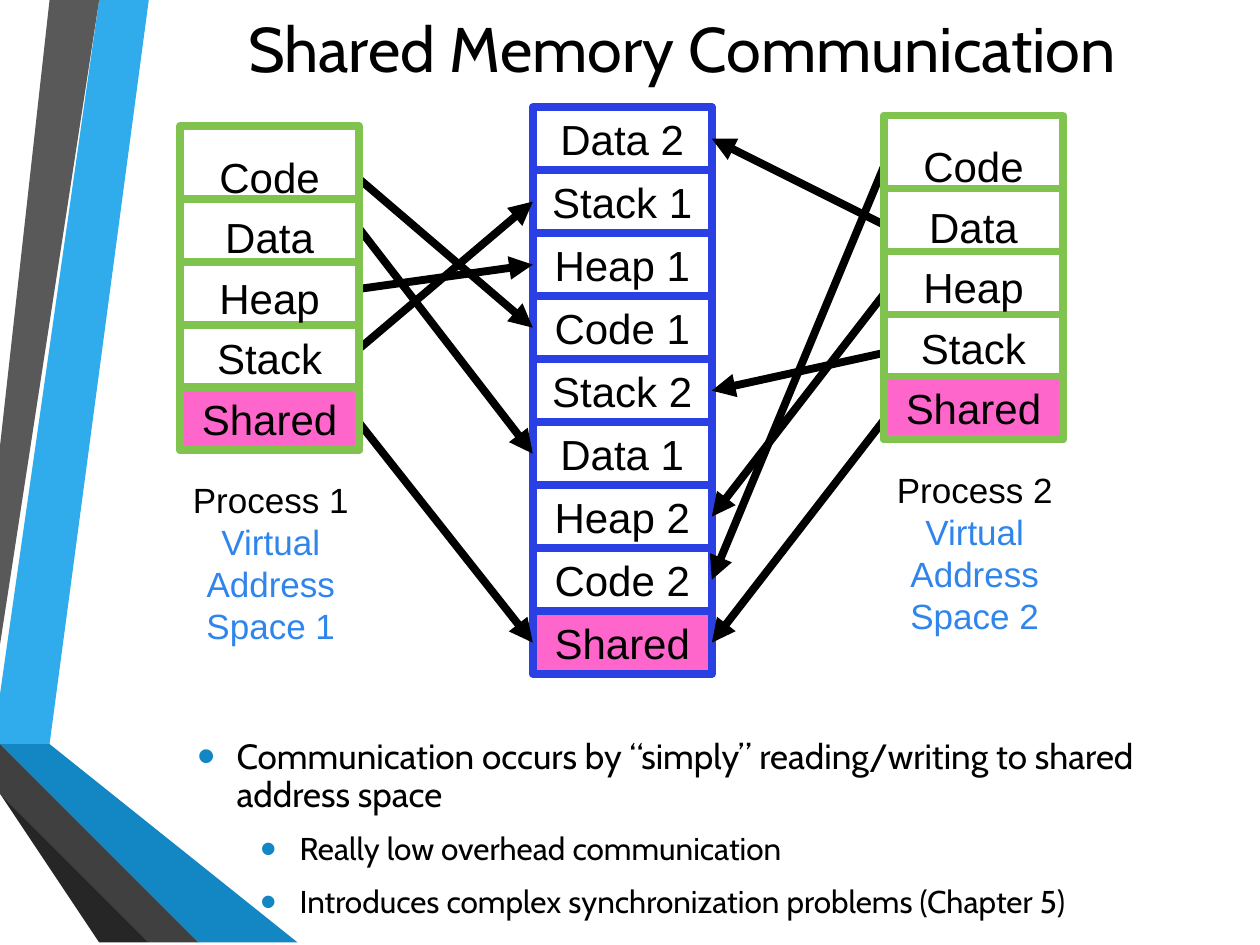
from lxml.etree import SubElement
from pptx import Presentation
from pptx.dml.color import RGBColor
from pptx.enum.shapes import MSO_CONNECTOR, MSO_SHAPE
from pptx.enum.text import MSO_ANCHOR as Anchor, PP_ALIGN as Align
from pptx.oxml.ns import qn
from pptx.util import Cm, Pt

COLORS = {
    "black": "000000", "white": "FFFFFF", "pink": "FF66CC",
    "memory": "2A40E2", "process": "80C34F", "label": "3085ED",
    "sky": "30ACEC", "blue": "1287C3", "navy": "0C5A82",
    "gray": "595959", "charcoal": "404040", "coal": "262626",
}

# Decorative bands along the left edge, from back to front, in cm
BANDS = [
    ("sky", [(0, 13.82), (0, 14.6), (0.56, 14.71), (2.97, 0), (2.26, 0)]),
    ("gray", [(2.11, 0), (1.4, 0), (0, 8.53), (0, 12.85)]),
    ("coal", [(0, 15.72), (0, 15.77), (2.36, 19.05), (2.51, 19.05)]),
    ("navy", [(0, 14.71), (0, 14.73), (3.96, 19.05), (4.14, 19.05)]),
    ("blue", [(0, 14.71), (4.14, 19.05), (5.92, 19.05), (0.56, 14.71), (0, 14.6)]),
    ("charcoal", [(0, 15.72), (2.51, 19.05), (3.84, 19.05), (0, 14.88)]),
]

SEGMENTS = ["Code", "Data", "Heap", "Stack", "Shared"]
MEMORY = ["Data 2", "Stack 1", "Heap 1", "Code 1", "Stack 2",
          "Data 1", "Heap 2", "Code 2", "Shared"]
MEMORY_LEFT, MEMORY_TOP = 10.74, 2.16
COLUMN_WIDTH, ROW_HEIGHT = 3.61, 1.27

# Start point of each arrow and the memory row it leads to
ARROWS = [
    (6.53, 3.0, "Code 1"), (6.78, 4.01, "Data 1"),
    (6.55, 5.92, "Heap 1"), (6.78, 7.42, "Stack 1"),
    (17.98, 2.97, "Code 2"), (18.16, 4.7, "Data 2"),
    (17.98, 5.72, "Heap 2"), (18.16, 7.04, "Stack 2"),
    (7.19, 8.46, "Shared"), (17.98, 8.26, "Shared"),
]

BULLETS = [
    (0, "Communication occurs by “simply” reading/writing to shared address space"),
    (1, "Really low overhead communication"),
    (1, "Introduces complex synchronization problems (Chapter 5)"),
]


class SlideBuilder:
    def __init__(self, slide):
        self.slide = slide
        self.shapes = slide.shapes
        self.diagram_font = "Arial"
        self.text_font = "Cabin"
        self.line_width = Pt(4.5)

    def color(self, name):
        return RGBColor.from_string(COLORS[name])

    def style(self, paragraph, font_name, size, color="black"):
        for run in paragraph.runs:
            run.font.name = font_name
            run.font.size = Pt(size)
            run.font.color.rgb = self.color(color)

    def band(self, fill, points):
        builder = self.shapes.build_freeform(*points[0], scale=Cm(1))
        builder.add_line_segments(points[1:], close=True)
        shape = builder.convert_to_shape()
        shape.shadow.inherit = False
        shape.fill.solid()
        shape.fill.fore_color.rgb = self.color(fill)
        shape.line.fill.background()

    def box(self, left, top, height, fill, outline, text=""):
        shape = self.shapes.add_shape(
            MSO_SHAPE.RECTANGLE, Cm(left), Cm(top), Cm(COLUMN_WIDTH), Cm(height))
        shape.shadow.inherit = False
        shape.fill.solid()
        shape.fill.fore_color.rgb = self.color(fill)
        shape.line.color.rgb = self.color(outline)
        shape.line.width = self.line_width
        if text:
            frame = shape.text_frame
            frame.text = text
            frame.word_wrap = False
            frame.vertical_anchor = Anchor.MIDDLE
            frame.paragraphs[0].alignment = Align.CENTER
            self.style(frame.paragraphs[0], self.diagram_font, 24)

    def line(self, start, end, color, arrow=False):
        connector = self.shapes.add_connector(
            MSO_CONNECTOR.STRAIGHT, *[Cm(value) for value in (*start, *end)])
        connector.line.color.rgb = self.color(color)
        connector.line.width = self.line_width
        properties = connector._element.spPr
        if arrow:
            SubElement(properties.find(qn("a:ln")), qn("a:tailEnd"), type="triangle")
        SubElement(properties, qn("a:effectLst"))

    def text(self, left, top, width, height, lines, wrap=False, anchor=Anchor.TOP):
        """Add a centred text box and return its paragraphs for styling."""
        box = self.shapes.add_textbox(Cm(left), Cm(top), Cm(width), Cm(height))
        frame = box.text_frame
        frame.text = "\n".join(lines)
        frame.word_wrap = wrap
        frame.vertical_anchor = anchor
        for paragraph in frame.paragraphs:
            paragraph.alignment = Align.CENTER
        return frame.paragraphs

    def title(self, text):
        paragraph, = self.text(2.74, 0, 22.02, 1.91, [text], True, Anchor.MIDDLE)
        self.style(paragraph, self.text_font, 36)

    def bullets(self, items):
        paragraphs = self.text(3.73, 14.76, 20.83, 3.94,
                               [text for _, text in items], True, Anchor.MIDDLE)
        for index, (paragraph, (level, _)) in enumerate(zip(paragraphs, items)):
            paragraph.alignment = Align.LEFT
            paragraph.level = level
            paragraph.line_spacing = 0.9
            paragraph.space_before = Pt(4.5 if index else 0)
            paragraph.space_after = Pt(6)
            properties = paragraph._p.get_or_add_pPr()
            properties.set("marL", str(Cm(0.79 + 1.27 * level)))
            properties.set("indent", str(Cm(-0.79)))
            bullet_color = SubElement(properties, qn("a:buClr"))
            SubElement(bullet_color, qn("a:srgbClr"), val=COLORS["blue"])
            SubElement(properties, qn("a:buSzPct"), val="145000")
            SubElement(properties, qn("a:buFont"), typeface="Arial")
            SubElement(properties, qn("a:buChar"), char="•")
            self.style(paragraph, self.text_font, 20 - 2 * level)

    def process(self, number, left, top):
        """Draw one virtual address space with its segments and caption."""
        shared_top = top + 5.26
        self.box(left, top, 6.53, "white", "process")
        for row in range(4):
            y = top + 1.47 + row * ROW_HEIGHT
            self.line((left, y), (left + COLUMN_WIDTH, y), "process")
        self.box(left, shared_top, ROW_HEIGHT, "pink", "process")
        for paragraph in self.text(left + 0.19, top + 0.18, 3.23, 6.35, SEGMENTS):
            paragraph.line_spacing = 1.2
            self.style(paragraph, self.diagram_font, 24)

        caption = [f"Process {number}", "Virtual", "Address", f"Space {number}"]
        paragraphs = self.text(left, top + 6.99, 3.66, 3.63, caption)
        for index, paragraph in enumerate(paragraphs):
            self.style(paragraph, self.diagram_font, 20, "label" if index else "black")


def main():
    presentation = Presentation()
    presentation.slide_width, presentation.slide_height = Cm(25.4), Cm(19.05)
    builder = SlideBuilder(presentation.slides.add_slide(presentation.slide_layouts[6]))

    for fill, points in BANDS:
        builder.band(fill, points)
    builder.title("Shared Memory Communication")
    builder.bullets(BULLETS)

    for row, name in enumerate(MEMORY):
        fill = "pink" if name == "Shared" else "white"
        builder.box(MEMORY_LEFT, MEMORY_TOP + row * ROW_HEIGHT, ROW_HEIGHT,
                    fill, "memory", name)
    for x, y, name in ARROWS:
        end_x = MEMORY_LEFT if x < MEMORY_LEFT else MEMORY_LEFT + COLUMN_WIDTH
        end_y = MEMORY_TOP + (MEMORY.index(name) + 0.5) * ROW_HEIGHT
        builder.line((x, y), (end_x, end_y), "black", arrow=True)

    builder.process(1, 3.63, 2.54)
    builder.process(2, 17.82, 2.33)
    presentation.save("out.pptx")


if __name__ == "__main__":
    main()
